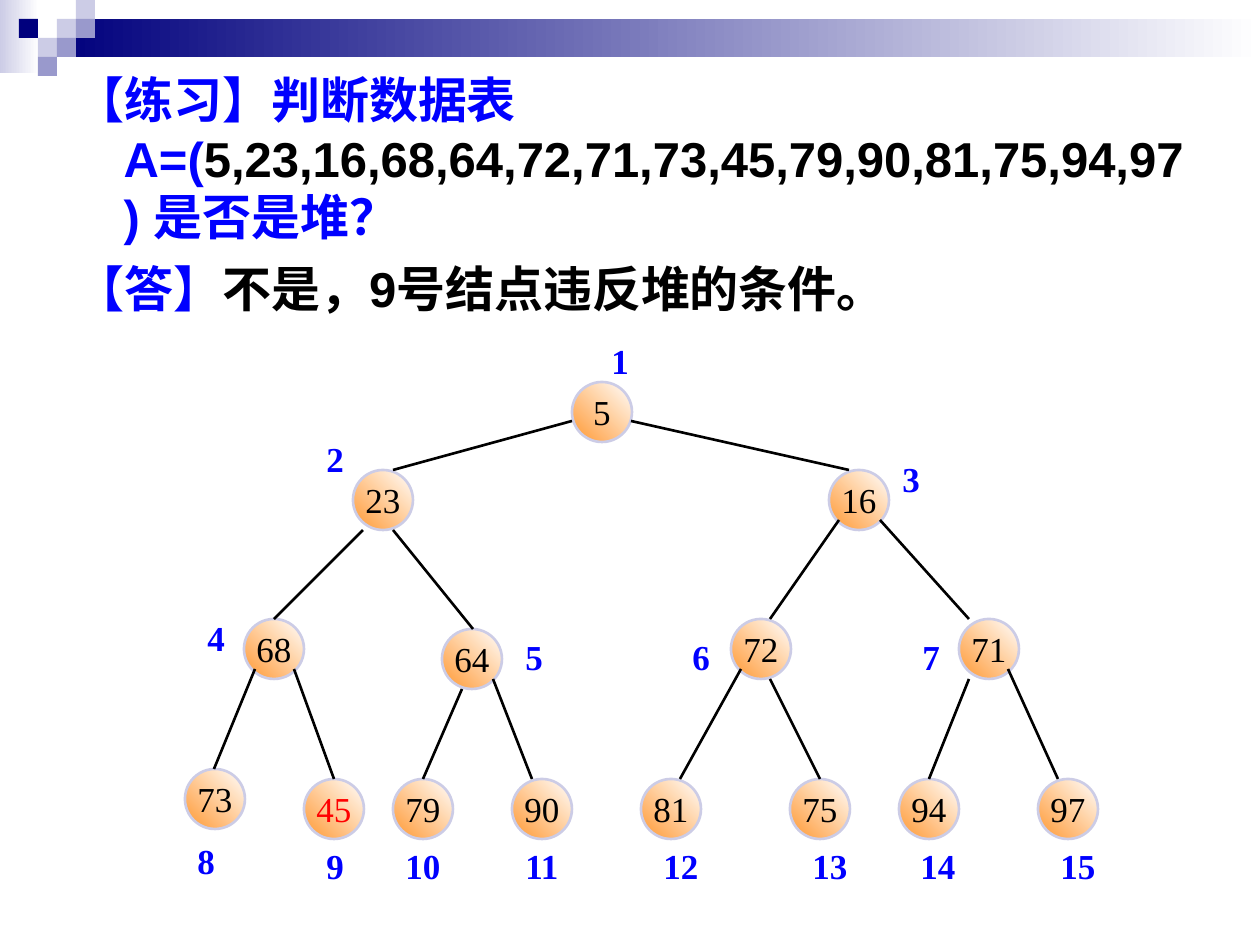
from lxml.etree import SubElement
from pptx import Presentation
from pptx.dml.color import RGBColor
from pptx.enum.shapes import MSO_CONNECTOR, MSO_SHAPE
from pptx.enum.text import MSO_ANCHOR, MSO_AUTO_SIZE, PP_ALIGN
from pptx.oxml.ns import qn
from pptx.util import Pt

PX = 914400 / 126
NAVY, LAVENDER, VIOLET, WHITE = "00007D", "CCCCE6", "9999CC", "FFFFFF"
BLUE, BLACK, RED, ORANGE = "0000FF", "000000", "FF0000", "FF9933"
NODE_SIZE = 60
SQUARE = 19


def px(value):
    return round(value * PX)


def color(value):
    return RGBColor.from_string(value)


class SlideBuilder:
    heading_font = "Arial"
    tree_font = "Times New Roman"
    heading_size = 28
    tree_size = 20
    line_width = 1.5

    def __init__(self, slide):
        self.slide = slide

    def format_font(self, font, name, size, value, bold=False):
        font.name = name
        font.size = Pt(size)
        font.bold = bold
        font.color.rgb = color(value)

    def shape(self, kind, left, top, width, height, fills, angle=0):
        shape = self.slide.shapes.add_shape(
            kind, px(left), px(top), px(width), px(height))
        shape.shadow.inherit = False
        shape.line.fill.background()
        if len(fills) == 1:
            shape.fill.solid()
            shape.fill.fore_color.rgb = color(fills[0])
        else:
            shape.fill.gradient()
            shape.fill.gradient_angle = angle
            for stop, value in zip(shape.fill.gradient_stops, fills):
                stop.color.rgb = color(value)
        return shape

    def rectangle(self, left, top, width, height, *fills):
        self.shape(MSO_SHAPE.RECTANGLE, left, top, width, height, fills)

    def body(self, left, top, width, height, paragraphs):
        shapes = self.slide.shapes
        title = shapes.title.element
        title.getparent().remove(title)
        body = self.slide.placeholders[1]
        body.left, body.top = px(left), px(top)
        body.width, body.height = px(width), px(height)
        frame = body.text_frame
        frame.auto_size = MSO_AUTO_SIZE.NONE
        for index, parts in enumerate(paragraphs):
            paragraph = frame.add_paragraph() if index else frame.paragraphs[0]
            properties = paragraph._p.get_or_add_pPr()
            properties.set("marL", str(px(48)))
            properties.set("indent", str(px(-48)))
            SubElement(properties, qn("a:buNone"))
            paragraph.space_before = Pt(7 if index else 0)
            for text, value in parts:
                run = paragraph.add_run()
                run.text = text
                self.format_font(
                    run.font, self.heading_font, self.heading_size, value, True)

    def node(self, text, left, top, value):
        shape = self.shape(
            MSO_SHAPE.OVAL, left, top, NODE_SIZE, NODE_SIZE, (ORANGE, WHITE), 45)
        shape.line.color.rgb = color(LAVENDER)
        shape.line.width = Pt(self.line_width)
        frame = shape.text_frame
        frame.word_wrap = False
        frame.vertical_anchor = MSO_ANCHOR.MIDDLE
        frame.text = text
        paragraph = frame.paragraphs[0]
        paragraph.alignment = PP_ALIGN.CENTER
        self.format_font(
            paragraph.runs[0].font, self.tree_font, self.tree_size, value)

    def edge(self, start, end):
        connector = self.slide.shapes.add_connector(
            MSO_CONNECTOR.STRAIGHT, *map(px, start + end))
        connector.line.color.rgb = color(BLACK)
        connector.line.width = Pt(self.line_width)
        SubElement(connector._element.spPr, qn("a:effectLst"))

    def label(self, text, left, top):
        width = 43 if len(text) == 1 else 60
        box = self.slide.shapes.add_textbox(px(left), px(top), px(width), px(55))
        frame = box.text_frame
        frame.word_wrap = False
        frame.auto_size = MSO_AUTO_SIZE.SHAPE_TO_FIT_TEXT
        frame.text = text
        self.format_font(frame.paragraphs[0].runs[0].font,
                         self.tree_font, self.tree_size, BLUE, True)


SQUARES = [(3, 1, LAVENDER), (4, 0, LAVENDER), (4, 1, VIOLET), (2, 2, LAVENDER),
           (1, 1, NAVY), (3, 2, VIOLET), (2, 3, VIOLET)]

PARAGRAPHS = [
    [("【练习】判断数据表A=(", BLUE),
     ("5,23,16,68,64,72,71,73,45,79,90,81,75,94,97", BLACK),
     (") 是否是堆？", BLUE)],
    [("【答】", BLUE), ("不是，9号结点违反堆的条件。", BLACK)],
]

# value, node corner, label corner, edge start at the parent, edge end x
NODES = [
    (5, (572, 382), (599, 333), None, None),
    (23, (353, 470), (314, 431), (572, 421), 393),
    (16, (829, 470), (890, 451), (631, 421), 849),
    (68, (244, 619), (195, 610), (363, 530), 274),
    (64, (442, 629), (513, 629), (393, 530), 473),
    (72, (731, 619), (680, 629), (839, 520), 770),
    (71, (959, 619), (910, 629), (880, 520), 969),
    (73, (185, 769), (185, 833), (255, 669), 214),
    (45, (304, 779), (314, 838), (294, 669), 334),
    (79, (393, 779), (393, 838), (462, 689), 423),
    (90, (512, 779), (513, 838), (493, 679), 532),
    (81, (641, 779), (651, 838), (741, 669), 680),
    (75, (790, 779), (800, 838), (770, 679), 820),
    (94, (899, 779), (908, 838), (969, 679), 929),
    (97, (1038, 779), (1048, 838), (1008, 669), 1058),
]


def main():
    presentation = Presentation()
    presentation.slide_width, presentation.slide_height = px(1260), px(945)
    slide = presentation.slides.add_slide(presentation.slide_layouts[1])
    builder = SlideBuilder(slide)
    builder.rectangle(0, 0, 39, 73, LAVENDER, WHITE)
    builder.rectangle(57, 19, 1203, 38, NAVY, WHITE)
    for column, row, value in SQUARES:
        builder.rectangle(column * SQUARE, row * SQUARE, SQUARE, SQUARE, value)
    builder.body(63, 63, 1134, 882, PARAGRAPHS)
    for value, corner, *_ in NODES:
        builder.node(str(value), *corner, RED if value == 45 else BLACK)
    for _, corner, _, start, end_x in NODES[1:]:
        builder.edge(start, (end_x, corner[1]))
    for number, (_, _, corner, *_) in enumerate(NODES, 1):
        builder.label(str(number), *corner)
    presentation.save("out.pptx")


if __name__ == "__main__":
    main()
